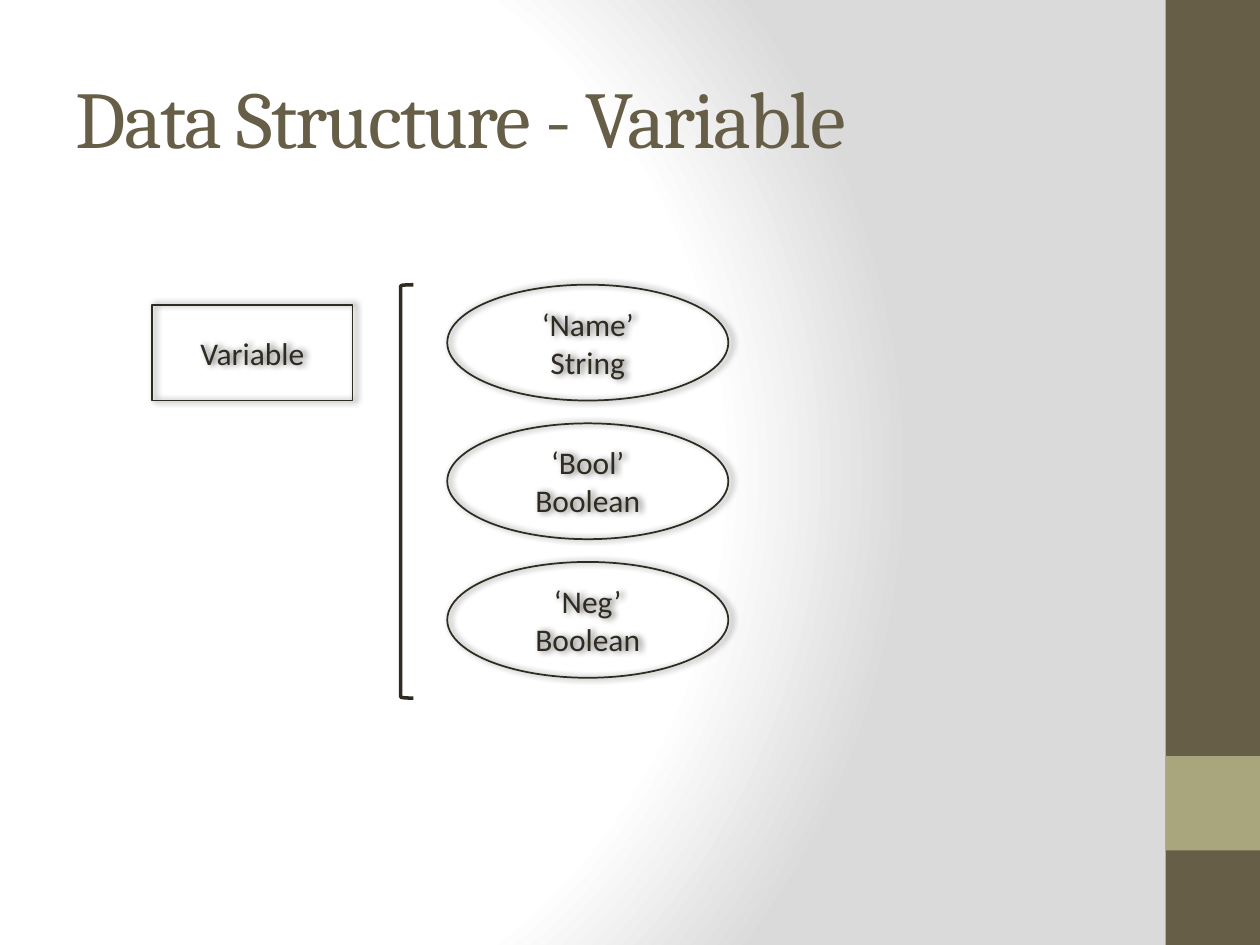
from dataclasses import dataclass

from lxml import etree
from pptx import Presentation
from pptx.dml.color import RGBColor
from pptx.enum.shapes import MSO_SHAPE
from pptx.enum.text import MSO_ANCHOR, MSO_AUTO_SIZE, PP_ALIGN
from pptx.oxml import parse_xml
from pptx.oxml.ns import nsdecls, qn
from pptx.util import Pt

RECT = MSO_SHAPE.RECTANGLE
OVAL = MSO_SHAPE.OVAL
BRACKET = MSO_SHAPE.LEFT_BRACKET
LEFT = PP_ALIGN.LEFT
CENTER = PP_ALIGN.CENTER
MIDDLE = MSO_ANCHOR.MIDDLE
NO_FIT = MSO_AUTO_SIZE.NONE


@dataclass(frozen=True)
class Theme:
    brown: str = "675E47"
    olive: str = "A9A57C"
    ink: str = "2F2B20"
    white: str = "FFFFFF"
    gray: str = "DADADA"
    shade: str = "000000"
    head: str = "Cambria"
    body: str = "Calibri"
    large: float = 46
    small: float = 18


@dataclass(frozen=True)
class Box:
    kind: MSO_SHAPE
    left: float
    top: float
    width: float
    height: float
    fill: str = ""
    line: float = 0
    text: str = ""


THEME = Theme()


def write(shape, text: str, *, font: str, size: float, color: str,
          align=CENTER, track: int = 0) -> None:
    frame = shape.text_frame
    frame.text = text
    frame.word_wrap = True
    frame.auto_size = NO_FIT
    frame.vertical_anchor = MIDDLE
    for para in frame.paragraphs:
        para.alignment = align
        for run in para.runs:
            run.font.name = font
            run.font.size = Pt(size)
            run.font.color.rgb = RGBColor.from_string(color)
            if track:
                run.font._element.set("spc", str(track))


def shadow(shape) -> None:
    effects = shape._element.spPr.find(qn("a:effectLst"))
    outer = etree.SubElement(effects, qn("a:outerShdw"), blurRad=str(Pt(4)),
                             dist=str(Pt(2)), dir="0", rotWithShape="0")
    color = etree.SubElement(outer, qn("a:srgbClr"), val=THEME.shade)
    etree.SubElement(color, qn("a:alpha"), val="60000")


def draw(slide, box: Box) -> None:
    shape = slide.shapes.add_shape(box.kind, Pt(box.left), Pt(box.top),
                                   Pt(box.width), Pt(box.height))
    shape.shadow.inherit = False
    if box.fill:
        shape.fill.solid()
        shape.fill.fore_color.rgb = RGBColor.from_string(box.fill)
    else:
        shape.fill.background()
    if box.line:
        shape.line.color.rgb = RGBColor.from_string(THEME.ink)
        shape.line.width = Pt(box.line)
    else:
        shape.line.fill.background()
    if box.text:
        shadow(shape)
        write(shape, box.text, font=THEME.body, size=THEME.small, color=THEME.ink)


def backdrop(slide) -> None:
    stops = ((0, THEME.white), (75, THEME.white), (100, THEME.gray))
    marks = "".join(f'<a:gs pos="{pos * 1000}"><a:srgbClr val="{color}"/></a:gs>'
                    for pos, color in stops)
    slide._element.cSld.insert(0, parse_xml(
        f'<p:bg {nsdecls("p", "a")}><p:bgPr><a:gradFill rotWithShape="1">'
        f'<a:gsLst>{marks}</a:gsLst><a:path path="circle">'
        '<a:fillToRect l="20000" t="50000" r="100000" b="50000"/></a:path>'
        '</a:gradFill><a:effectLst/></p:bgPr></p:bg>'))


def main() -> None:
    deck = Presentation()
    deck.slide_width, deck.slide_height = Pt(720), Pt(540)
    slide = deck.slides.add_slide(deck.slide_layouts[5])
    backdrop(slide)

    title = slide.shapes.title
    title.left, title.top = Pt(36), Pt(21.6)
    title.width, title.height = Pt(600), Pt(90)
    write(title, "Data Structure - Variable", font=THEME.head, size=THEME.large,
          color=THEME.brown, align=LEFT, track=-100)

    top, step = 162.7, 79.2
    fields = (("Name", "String"), ("Bool", "Boolean"), ("Neg", "Boolean"))
    boxes = [
        Box(RECT, 666, 0, 54, 540, fill=THEME.brown),
        Box(RECT, 666, 432, 54, 54, fill=THEME.olive),
        Box(RECT, 87, 174.2, 114.5, 54.7, line=1, text="Variable"),
        Box(BRACKET, 229, top, 7.2, 236.2, line=2),
    ]
    boxes += [Box(OVAL, 255.6, top + row * step, 160.6, 66.2, line=1,
                  text=f"\u2018{name}\u2019\n{kind}")
              for row, (name, kind) in enumerate(fields)]
    for box in boxes:
        draw(slide, box)
    deck.save("out.pptx")


main()
